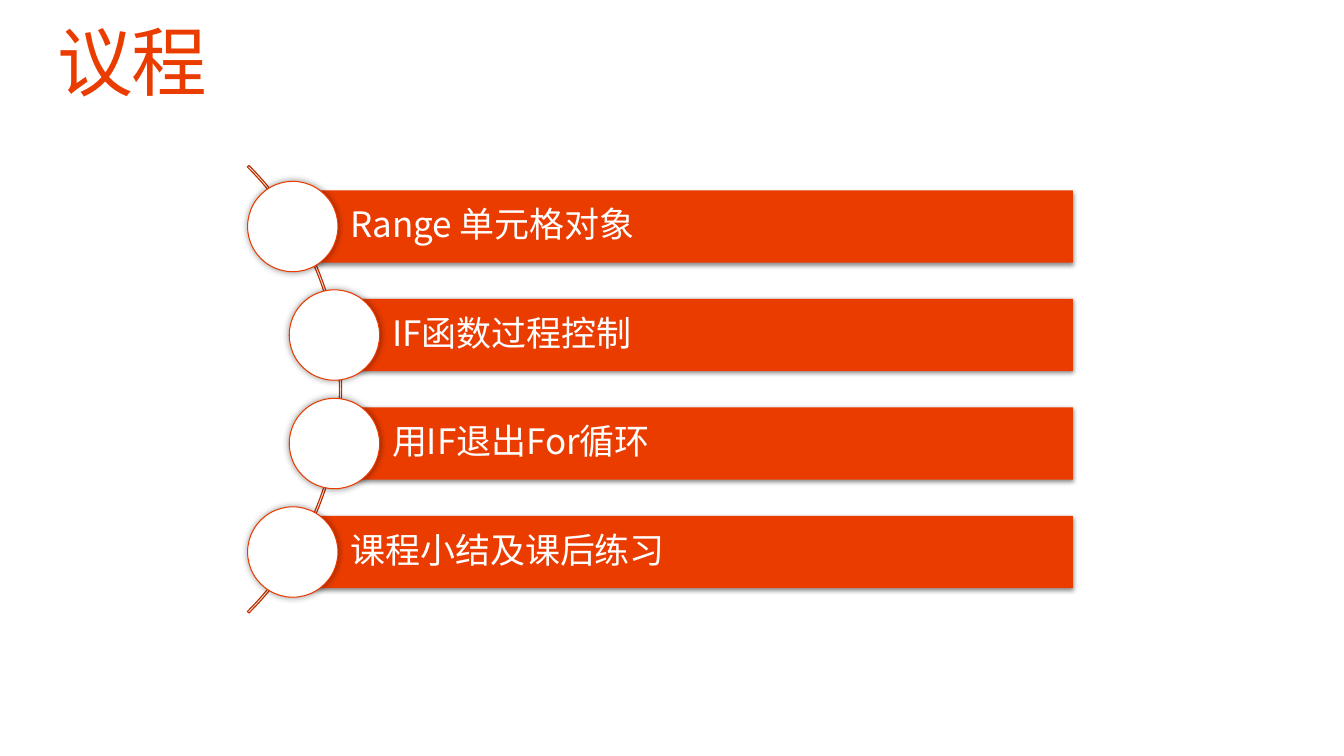
from lxml import etree
from pptx import Presentation
from pptx.dml.color import RGBColor
from pptx.enum.shapes import MSO_SHAPE
from pptx.enum.text import MSO_ANCHOR, MSO_AUTO_SIZE, PP_ALIGN
from pptx.oxml.ns import qn
from pptx.util import Cm, Pt

RECTANGLE = MSO_SHAPE.RECTANGLE
OVAL = MSO_SHAPE.OVAL
BLOCK_ARC = MSO_SHAPE.BLOCK_ARC
TOP = MSO_ANCHOR.TOP
MIDDLE = MSO_ANCHOR.MIDDLE
LEFT = PP_ALIGN.LEFT
NO_AUTOFIT = MSO_AUTO_SIZE.NONE

ORANGE = "EB3C00"
DARK_ORANGE = "BC3000"
WHITE = "FFFFFF"
BLACK = "000000"
LATIN_FONT = "Roboto"
CHINESE_FONT = "Noto Sans CJK SC"

TITLE = "议程"
TOPICS = ["Range 单元格对象", "IF函数过程控制", "用IF退出For循环", "课程小结及课后练习"]
TOPIC_INDENTS = [0, 1.05, 1.05, 0]


def color(hex_string):
    return RGBColor.from_string(hex_string)


def format_text(frame, text, size, font_name, text_color, anchor, margins):
    frame.text = text
    frame.word_wrap = True
    frame.auto_size = NO_AUTOFIT
    frame.vertical_anchor = anchor
    frame.margin_left, frame.margin_top, frame.margin_right, frame.margin_bottom = map(Cm, margins)
    paragraph = frame.paragraphs[0]
    paragraph.alignment = LEFT
    paragraph.line_spacing = 0.9
    run = paragraph.runs[0]
    run.font.size = Pt(size)
    run.font.bold = False
    run.font.name = font_name
    run.font.color.rgb = color(text_color)
    properties = run.font._element
    etree.SubElement(properties, qn("a:ea"), typeface=CHINESE_FONT)
    return properties


def add_shadow(shape, opacity, blur, distance, angle):
    effects = shape._element.spPr.find(qn("a:effectLst"))
    shadow = etree.SubElement(
        effects, qn("a:outerShdw"), blurRad=str(Pt(blur)), dist=str(Pt(distance)),
        dir=str(angle * 60000), algn="ctr", rotWithShape="0")
    shade = etree.SubElement(shadow, qn("a:srgbClr"), val=BLACK)
    etree.SubElement(shade, qn("a:alpha"), val=str(opacity * 1000))


def add_part(slide, preset, left, top, width, height, fill=None, line=None, line_width=0.75):
    part = slide.shapes.add_shape(preset, Cm(left), Cm(top), Cm(width), Cm(height))
    part.shadow.inherit = False
    if fill:
        part.fill.solid()
        part.fill.fore_color.rgb = color(fill)
    else:
        part.fill.background()
    if line:
        part.line.color.rgb = color(line)
        part.line.width = Pt(line_width)
    else:
        part.line.fill.background()
    return part


def add_title(slide, left, top, width, height):
    title = slide.shapes.title
    title.left, title.top, title.width, title.height = map(Cm, (left, top, width, height))
    properties = format_text(title.text_frame, TITLE, 54, LATIN_FONT, ORANGE, TOP, (0, 0, 0, 0))
    properties.set("spc", "-100")


def add_topic(slide, topic, left, top, width, bar_height, circle_size):
    radius = circle_size / 2
    bar_top = top + (circle_size - bar_height) / 2
    bar = add_part(slide, RECTANGLE, left + radius, bar_top, width - radius, bar_height, ORANGE)
    add_shadow(bar, 45, 3.5, 1.1, 90)
    format_text(bar.text_frame, topic, 25, CHINESE_FONT, WHITE, MIDDLE, (1.45, 0.18, 0.18, 0.18))
    circle = add_part(slide, OVAL, left, top, circle_size, circle_size, WHITE, ORANGE)
    add_shadow(circle, 40, 5, 0, 0)


def add_agenda(slide, left, top, width, height):
    pitch = height / (len(TOPICS) - 1 + 5 / 6)
    bar_height = pitch * 2 / 3
    circle_size = pitch * 5 / 6

    arc_size = 15.95
    arc = add_part(slide, BLOCK_ARC, left - 13.58, top + (height - arc_size) / 2,
                   arc_size, arc_size, line=DARK_ORANGE, line_width=0.85)
    for index, value in enumerate((189, 27, 0.0034)):
        arc.adjustments[index] = value

    for row, (topic, indent) in enumerate(zip(TOPICS, TOPIC_INDENTS)):
        add_topic(slide, topic, left + indent, top + row * pitch, width - indent,
                  bar_height, circle_size)


def main():
    presentation = Presentation()
    presentation.slide_width = Cm(33.87)
    presentation.slide_height = Cm(19.05)
    slide = presentation.slides.add_slide(presentation.slide_layouts[5])
    slide.background.fill.solid()
    slide.background.fill.fore_color.rgb = color(WHITE)
    add_title(slide, 1.45, 0.64, 30.96, 2.08)
    add_agenda(slide, 6.24, 4.57, 20.8, 10.48)
    presentation.save("out.pptx")


if __name__ == "__main__":
    main()
